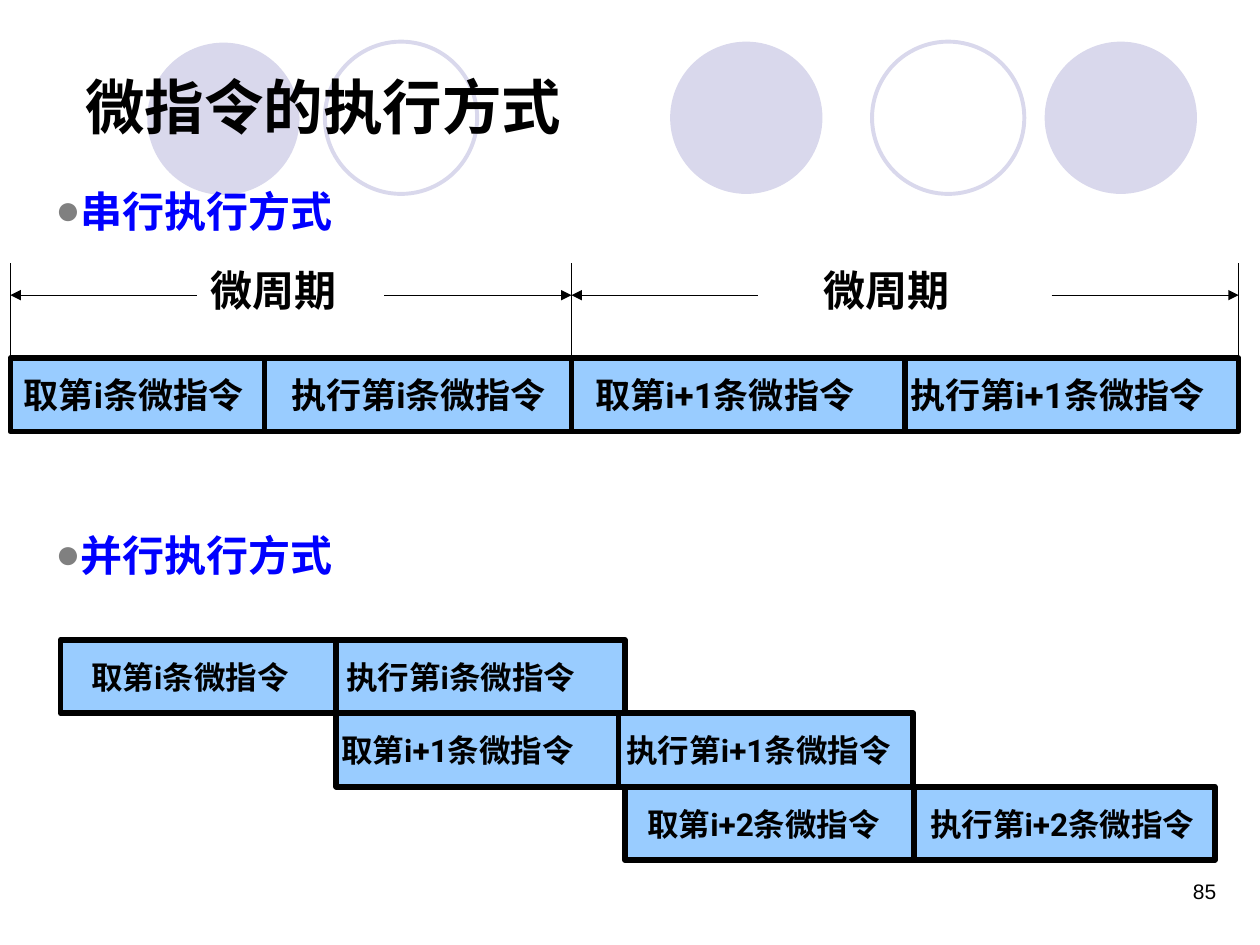
from dataclasses import dataclass

from lxml.etree import SubElement
from pptx import Presentation
from pptx.dml.color import RGBColor
from pptx.enum.shapes import MSO_CONNECTOR, MSO_SHAPE
from pptx.enum.text import MSO_ANCHOR, MSO_AUTO_SIZE, PP_ALIGN
from pptx.oxml.ns import qn
from pptx.util import Cm, Pt


@dataclass(frozen=True)
class Theme:
    ink: str = "000000"
    heading: str = "0000FF"
    bullet: str = "808080"
    bar: str = "99CCFF"
    circle: str = "D9D8EC"
    sans: str = "Arial"
    diagram: str = "Roboto"
    title_size: int = 34
    body_size: int = 24
    serial_size: int = 20
    parallel_size: int = 18
    number_size: int = 12
    thick: float = 3.25
    ring: float = 2.25
    thin: float = 0.25


@dataclass(frozen=True)
class Circle:
    left: float
    top: float
    filled: bool


@dataclass(frozen=True)
class Bar:
    """A strip of steps; dividers and text starts are slide positions in cm."""
    left: float
    top: float
    width: float
    dividers: tuple
    starts: tuple
    steps: tuple
    size: int


@dataclass(frozen=True)
class Period:
    left: float
    right: float
    label_left: float


T = Theme()
BAR_H = 1.48
SERIAL_TOP, GUIDE_TOP, ARROW_Y, ARROW_LEN = 7.22, 5.31, 5.95, 3.77
PARALLEL_TOP = 12.9
CIRCLE_D = 3.07

CIRCLES = (
    Circle(13.51, 0.84, True), Circle(21.06, 0.84, True), Circle(2.97, 0.86, True),
    Circle(17.58, 0.84, False), Circle(6.55, 0.84, False),
)
SERIAL = Bar(0.21, SERIAL_TOP, 24.76, (5.33, 11.52, 18.24), (0.48, 5.87, 12.0, 18.35),
             ("取第i条微指令", "执行第i条微指令", "取第i+1条微指令", "执行第i+1条微指令"),
             T.serial_size)
PERIODS = (Period(0.21, 11.52, 3.99), Period(11.52, 24.97, 16.36))
# left, width, divider, text starts of each overlapped instruction
STAIRS = (
    (1.22, 11.38, 6.78, (1.84, 6.98)),
    (6.78, 11.63, 12.47, (6.88, 12.63)),
    (12.6, 11.89, 18.42, (13.05, 18.75)),
)


def rgb(value: str) -> RGBColor:
    return RGBColor.from_string(value)


def set_font(font, size: int, name: str, color: str = T.ink, bold: bool = True) -> None:
    for key, value in {"size": Pt(size), "name": name, "bold": bold}.items():
        setattr(font, key, value)
    font.color.rgb = rgb(color)


def format_frame(tf, **values) -> None:
    for key, value in values.items():
        setattr(tf, key, value)


def place(sp, left: float, top: float, width: float, height: float) -> None:
    for key, value in zip(("left", "top", "width", "height"), (left, top, width, height)):
        setattr(sp, key, Cm(value))


def add_circles(slide) -> None:
    """Draw the circle band behind the placeholders."""
    group = slide.shapes.add_group_shape()
    for c in CIRCLES:
        sp = group.shapes.add_shape(MSO_SHAPE.OVAL, Cm(c.left), Cm(c.top), Cm(CIRCLE_D), Cm(CIRCLE_D))
        sp.shadow.inherit = False
        if c.filled:
            sp.fill.solid()
            sp.fill.fore_color.rgb = rgb(T.circle)
            sp.line.fill.background()
        else:
            sp.fill.background()
            sp.line.color.rgb = rgb(T.circle)
            sp.line.width = Pt(T.ring)
    slide.shapes._spTree.insert(2, group._element)


def add_title(slide, text: str) -> None:
    sp = slide.shapes.title
    place(sp, 1.47, 1.07, 19.76, 2.11)
    tf = sp.text_frame
    tf.text = text
    format_frame(tf, vertical_anchor=MSO_ANCHOR.MIDDLE, auto_size=MSO_AUTO_SIZE.NONE)
    p = tf.paragraphs[0]
    p.alignment = PP_ALIGN.LEFT
    set_font(p.runs[0].font, T.title_size, T.sans)


def add_headings(slide, headings: tuple, gap: float) -> None:
    """Fill the body with bulleted headings, gap points apart."""
    sp = slide.placeholders[1]
    place(sp, 0.86, 3.4, 23.27, 13.8)
    tf = sp.text_frame
    tf.auto_size = MSO_AUTO_SIZE.NONE
    for i, text in enumerate(headings):
        p = tf.add_paragraph() if i else tf.paragraphs[0]
        pPr = p._p.get_or_add_pPr()
        pPr.set("marL", str(Cm(0.48)))
        pPr.set("indent", str(Cm(-0.48)))
        color = SubElement(pPr, qn("a:buClr"))
        SubElement(color, qn("a:srgbClr"), val=T.bullet)
        SubElement(pPr, qn("a:buChar"), char="●")
        spacing = {"line_spacing": 1.2, "space_before": Pt(gap if i else 0), "space_after": Pt(3)}
        for key, value in spacing.items():
            setattr(p, key, value)
        r = p.add_run()
        r.text = text
        set_font(r.font, T.body_size, T.sans, T.heading)


def add_line(slide, x1: float, y1: float, x2: float, y2: float, width: float, arrow: str = "") -> None:
    """Draw a straight line; arrow is "headEnd" or "tailEnd" for its start or end."""
    cx = slide.shapes.add_connector(MSO_CONNECTOR.STRAIGHT, Cm(x1), Cm(y1), Cm(x2), Cm(y2))
    cx.line.color.rgb = rgb(T.ink)
    cx.line.width = Pt(width)
    if arrow:
        SubElement(cx.line._get_or_add_ln(), qn(f"a:{arrow}"), type="triangle")
    SubElement(cx._element.spPr, qn("a:effectLst"))


def add_bar(slide, bar: Bar) -> None:
    sp = slide.shapes.add_shape(MSO_SHAPE.FLOWCHART_PROCESS, Cm(bar.left), Cm(bar.top),
                                Cm(bar.width), Cm(BAR_H))
    sp.shadow.inherit = False
    sp.fill.solid()
    sp.fill.fore_color.rgb = rgb(T.bar)
    sp.line.color.rgb = rgb(T.ink)
    sp.line.width = Pt(T.thick)
    tf = sp.text_frame
    first = bar.starts[0]
    format_frame(tf, word_wrap=True, vertical_anchor=MSO_ANCHOR.MIDDLE,
                 margin_left=Cm(first - bar.left), margin_right=0)
    p = tf.paragraphs[0]
    p.alignment = PP_ALIGN.LEFT
    tabs = SubElement(p._p.get_or_add_pPr(), qn("a:tabLst"))
    for start in bar.starts[1:]:
        SubElement(tabs, qn("a:tab"), pos=str(Cm(start - first)), algn="l")
    r = p.add_run()
    r.text = "\t".join(bar.steps)
    set_font(r.font, bar.size, T.diagram)
    for x in bar.dividers:
        add_line(slide, x, bar.top, x, bar.top + BAR_H, T.thick)


def add_text(slide, box: tuple, text: str, size: int, font: str, bold: bool, align) -> None:
    sp = slide.shapes.add_textbox(*map(Cm, box))
    sp.text_frame.word_wrap = True
    p = sp.text_frame.paragraphs[0]
    p.alignment = align
    r = p.add_run()
    r.text = text
    set_font(r.font, size, font, bold=bold)


def add_period(slide, period: Period) -> None:
    left, right = period.left, period.right
    add_text(slide, (period.label_left, 5.2, 5.38, 1.48), "微周期", T.body_size, T.diagram, True, PP_ALIGN.LEFT)
    add_line(slide, left, ARROW_Y, left + ARROW_LEN, ARROW_Y, T.thin, "headEnd")
    add_line(slide, right - ARROW_LEN, ARROW_Y, right, ARROW_Y, T.thin, "tailEnd")


def main() -> None:
    prs = Presentation()
    prs.slide_width, prs.slide_height = Cm(25.4), Cm(19.05)
    slide = prs.slides.add_slide(prs.slide_layouts[1])
    add_circles(slide)
    add_title(slide, "微指令的执行方式")
    add_headings(slide, ("串行执行方式", "并行执行方式"), 159)
    add_text(slide, (18.85, 17.58, 5.92, 1.27), "85", T.number_size, T.sans, False, PP_ALIGN.RIGHT)

    add_bar(slide, SERIAL)
    for x in (PERIODS[0].left, *(period.right for period in PERIODS)):
        add_line(slide, x, GUIDE_TOP, x, SERIAL_TOP, T.thin)
    for period in PERIODS:
        add_period(slide, period)

    for i, (left, width, divider, starts) in enumerate(STAIRS):
        name = f"i+{i}" if i else "i"
        steps = (f"取第{name}条微指令", f"执行第{name}条微指令")
        add_bar(slide, Bar(left, PARALLEL_TOP + i * BAR_H, width, (divider,), starts, steps, T.parallel_size))
    prs.save("out.pptx")


if __name__ == "__main__":
    main()
